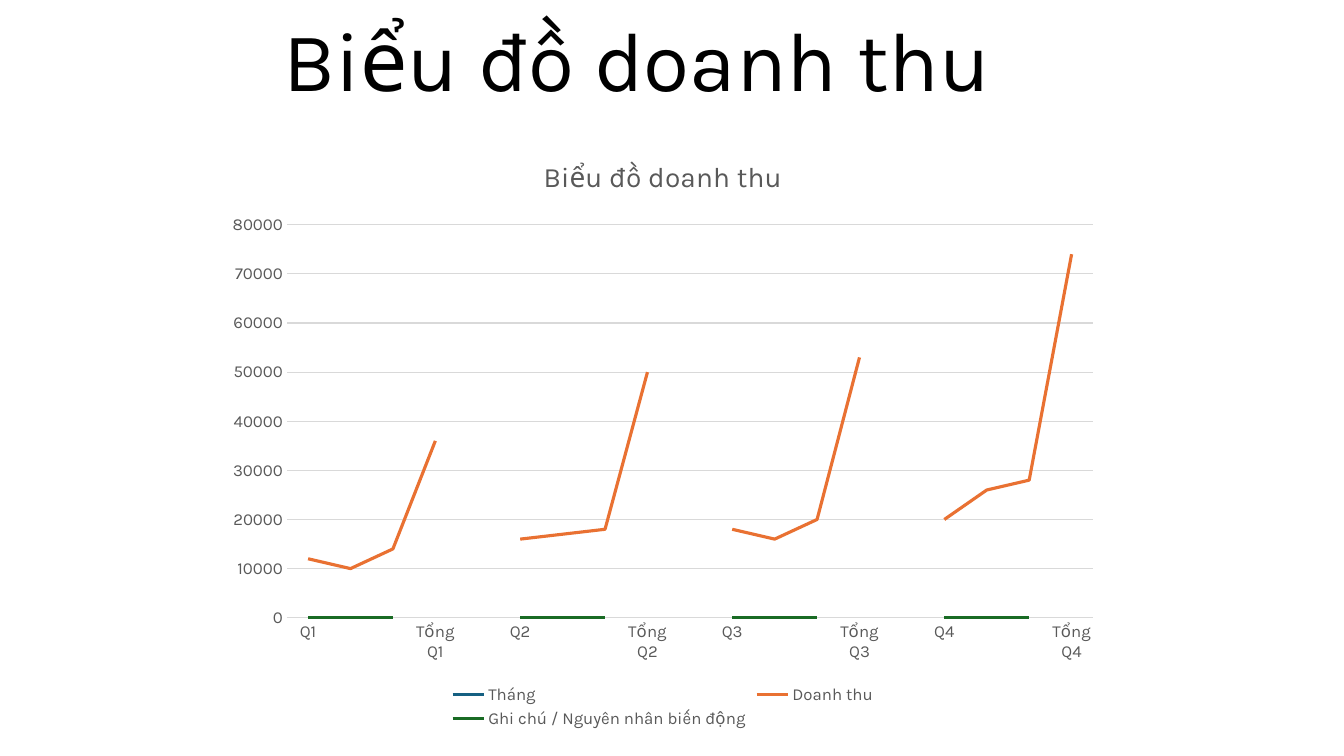
from pptx import Presentation
from pptx import util as u
from pptx.chart import data
from pptx.dml.color import RGBColor
from pptx.enum import chart as ch, text

BLACK = RGBColor(0x00, 0x00, 0x00)
GREY = RGBColor(0x59, 0x59, 0x59)
PALE_GREY = RGBColor(0xD9, 0xD9, 0xD9)
BLUE = RGBColor(0x15, 0x60, 0x82)
ORANGE = RGBColor(0xE9, 0x71, 0x32)
GREEN = RGBColor(0x19, 0x6B, 0x24)
HEADING = "Biểu đồ doanh thu"


def set_font(font, size, color):
    font.name = "Karla"
    font.size = u.Pt(size)
    font.bold = False
    font.color.rgb = color


prs = Presentation()
prs.slide_width, prs.slide_height = u.Pt(960), u.Pt(540)
slide = prs.slides.add_slide(prs.slide_layouts[0])
subtitle = slide.placeholders[1].element
subtitle.getparent().remove(subtitle)

# Heading
heading = slide.shapes.title
heading.left, heading.top = u.Pt(95), u.Pt(9.4)
heading.width, heading.height = u.Pt(720), u.Pt(72.7)
frame = heading.text_frame
frame.text = HEADING
frame.auto_size = text.MSO_AUTO_SIZE.NONE
frame.vertical_anchor = text.MSO_ANCHOR.BOTTOM
paragraph = frame.paragraphs[0]
paragraph.alignment = text.PP_ALIGN.CENTER
paragraph.line_spacing = 0.9
set_font(paragraph.font, 60, BLACK)

# Three months, the quarter's total, then a gap before the next quarter
quarters = [
    [12000, 10000, 14000, 36000],
    [16000, 17000, 18000, 50000],
    [18000, 16000, 20000, 53000],
    [20000, 26000, 28000, 74000],
]
labels, revenue, zeros = [], [], []
for number, amounts in enumerate(quarters, 1):
    if number > 1:
        labels.append("")
        revenue.append(None)
        zeros.append(None)
    labels += [f"Q{number}", "", "", f"Tổng Q{number}"]
    revenue += amounts
    zeros += [0, 0, 0, None]

sales = data.CategoryChartData()
sales.categories = labels
sales.add_series("Tháng", zeros)
sales.add_series("Doanh thu", revenue)
sales.add_series("Ghi chú / Nguyên nhân biến động", zeros)
chart = slide.shapes.add_chart(
    ch.XL_CHART_TYPE.LINE, u.Pt(153.4), u.Pt(96.5), u.Pt(640), u.Pt(427), sales
).chart
set_font(chart.font, 10, BLACK)

chart.has_title = True
chart.chart_title.include_in_layout = False
chart_heading = chart.chart_title.text_frame
chart_heading.text = HEADING
set_font(chart_heading.paragraphs[0].font, 20, GREY)

chart.has_legend = True
chart.legend.position = ch.XL_LEGEND_POSITION.BOTTOM
chart.legend.include_in_layout = False
set_font(chart.legend.font, 12, GREY)

months, amounts_axis = chart.category_axis, chart.value_axis
for axis in (months, amounts_axis):
    axis.major_tick_mark = axis.minor_tick_mark = ch.XL_TICK_MARK.NONE
    set_font(axis.tick_labels.font, 12, GREY)
amounts_axis.minimum_scale = 0
amounts_axis.maximum_scale = 80000
amounts_axis.major_unit = 10000
amounts_axis.has_major_gridlines = True
amounts_axis.format.line.fill.background()
for line in (months.format.line, amounts_axis.major_gridlines.format.line):
    line.color.rgb = PALE_GREY
    line.width = u.Pt(0.75)

plot = chart.plots[0]
plot.vary_by_categories = False
for series, color in zip(plot.series, (BLUE, ORANGE, GREEN)):
    series.smooth = False
    series.marker.style = ch.XL_MARKER_STYLE.NONE
    series.format.line.color.rgb = color
    series.format.line.width = u.Pt(2.25)

prs.save("out.pptx")
